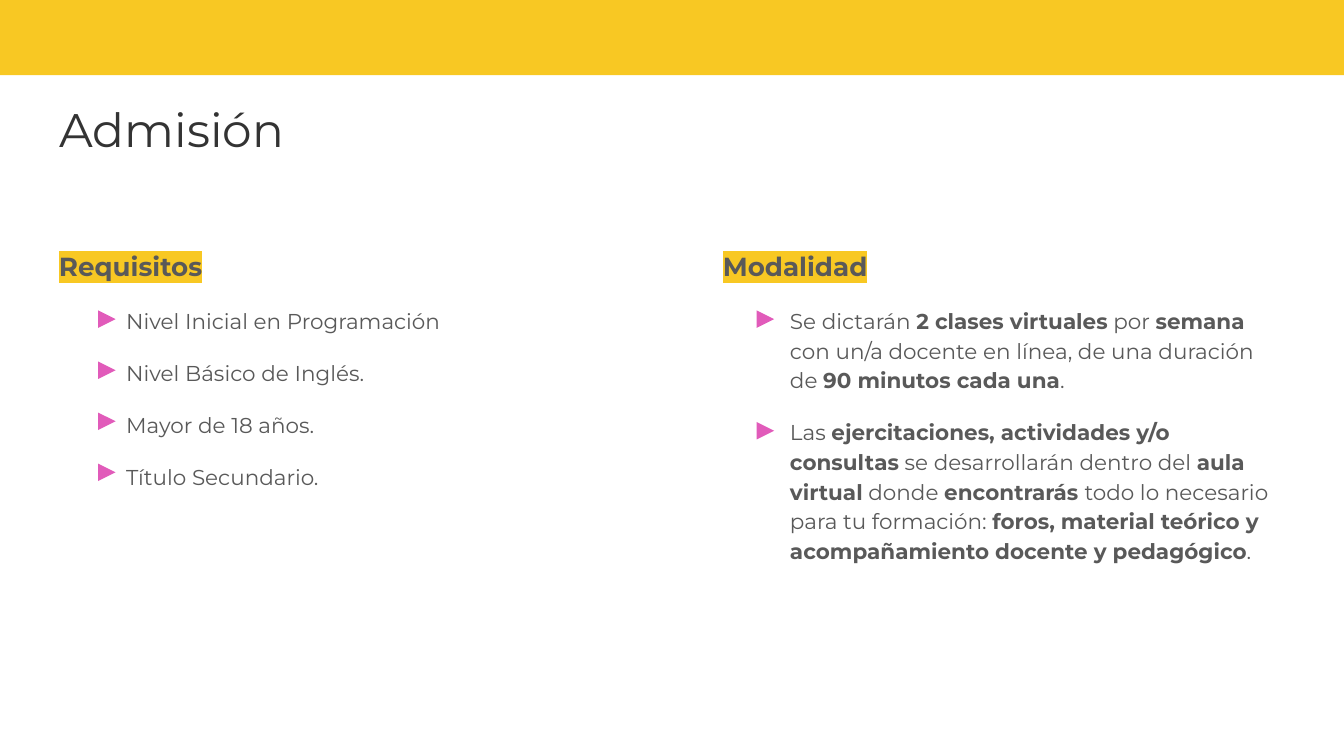
from pptx import Presentation
from pptx.dml.color import RGBColor
from pptx.enum.shapes import MSO_SHAPE as Shape
from pptx.enum.text import MSO_ANCHOR as Anchor, MSO_AUTO_SIZE as Fit, PP_ALIGN as Align
from pptx.oxml.ns import qn
from pptx.util import Inches, Pt
from lxml.etree import SubElement

FONT = "Montserrat"
YELLOW, PINK, DARK, GREY = "F8C823", "E15BBA", "333333", "595959"
MARK = 0.13

# Asterisks enclose bold words.
NEEDS = [
    "Nivel Inicial en Programación",
    "Nivel Básico de Inglés.",
    "Mayor de 18 años.",
    "Título Secundario.",
]
MODE = [
    "Se dictarán *2 clases virtuales* por *semana* con un/a docente en línea, "
    "de una duración de *90 minutos cada una*.",
    "Las *ejercitaciones, actividades y/o consultas* se desarrollarán dentro del "
    "*aula virtual* donde *encontrarás *todo lo necesario para tu formación: "
    "*foros, material teórico y acompañamiento docente y pedagógico*.",
]


def color(code):
    return RGBColor.from_string(code)


def style(para, size, code):
    para.font.name = FONT
    para.font.size = Pt(size)
    para.font.color.rgb = color(code)


def inset(frame):
    frame.word_wrap = True
    frame.vertical_anchor = Anchor.TOP
    frame.margin_left = frame.margin_right = Inches(0.1)
    frame.margin_top = frame.margin_bottom = Inches(0.1)


def add_solid(slide, kind, left, top, width, height, code):
    shape = slide.shapes.add_shape(
        kind, Inches(left), Inches(top), Inches(width), Inches(height))
    shape.shadow.inherit = False
    shape.fill.solid()
    shape.fill.fore_color.rgb = color(code)
    shape.line.fill.background()
    return shape


def add_title(slide, text, left, top, width, height):
    title = slide.shapes.title
    title.left, title.top = Inches(left), Inches(top)
    title.width, title.height = Inches(width), Inches(height)
    frame = title.text_frame
    inset(frame)
    frame.auto_size = Fit.NONE
    frame.text = text
    para = frame.paragraphs[0]
    para.alignment = Align.LEFT
    style(para, 25.2, DARK)


def add_head(para, text):
    para.line_spacing = 1.15
    style(para, 14, GREY)
    run = para.add_run()
    run.text = text
    run.font.bold = True
    glow = SubElement(run.font._element, qn("a:highlight"))
    SubElement(glow, qn("a:srgbClr"), val=YELLOW)


def add_item(para, text):
    para._p.get_or_add_pPr().set("marL", str(Inches(0.5)))
    para.line_spacing = 1.15
    para.space_before = Pt(12)
    style(para, 11.5, GREY)
    for i, part in enumerate(text.split("*")):
        run = para.add_run()
        run.text = part
        run.font.bold = i % 2 == 1


def add_column(slide, head, items, left, top, width, height, mark_x, pitch):
    """Headed list whose triangles start at mark_x and repeat at pitch."""
    box = slide.shapes.add_textbox(
        Inches(left), Inches(top), Inches(width), Inches(height))
    frame = box.text_frame
    inset(frame)
    add_head(frame.paragraphs[0], head)
    for i, text in enumerate(items):
        add_item(frame.add_paragraph(), text)
        mark = add_solid(slide, Shape.ISOSCELES_TRIANGLE, left + mark_x,
                         top + 0.58 + i * pitch, MARK, MARK, PINK)
        mark.rotation = 90
    frame.paragraphs[-1].space_after = Pt(12)


def main():
    deck = Presentation()
    deck.slide_width = Inches(10)
    deck.slide_height = deck.slide_width * 9 // 16
    slide = deck.slides.add_slide(deck.slide_layouts[5])
    add_solid(slide, Shape.RECTANGLE, -0.01, -0.05, 10.03, 0.61, YELLOW)
    add_title(slide, "Admisión", 0.34, 0.65, 9.32, 0.63)
    add_column(slide, "Requisitos", NEEDS, 0.34, 1.73, 4.37, 2.01, 0.39, 0.38)
    add_column(slide, "Modalidad", MODE, 5.28, 1.73, 4.37, 2.56, 0.35, 0.83)
    deck.save("out.pptx")


if __name__ == "__main__":
    main()
